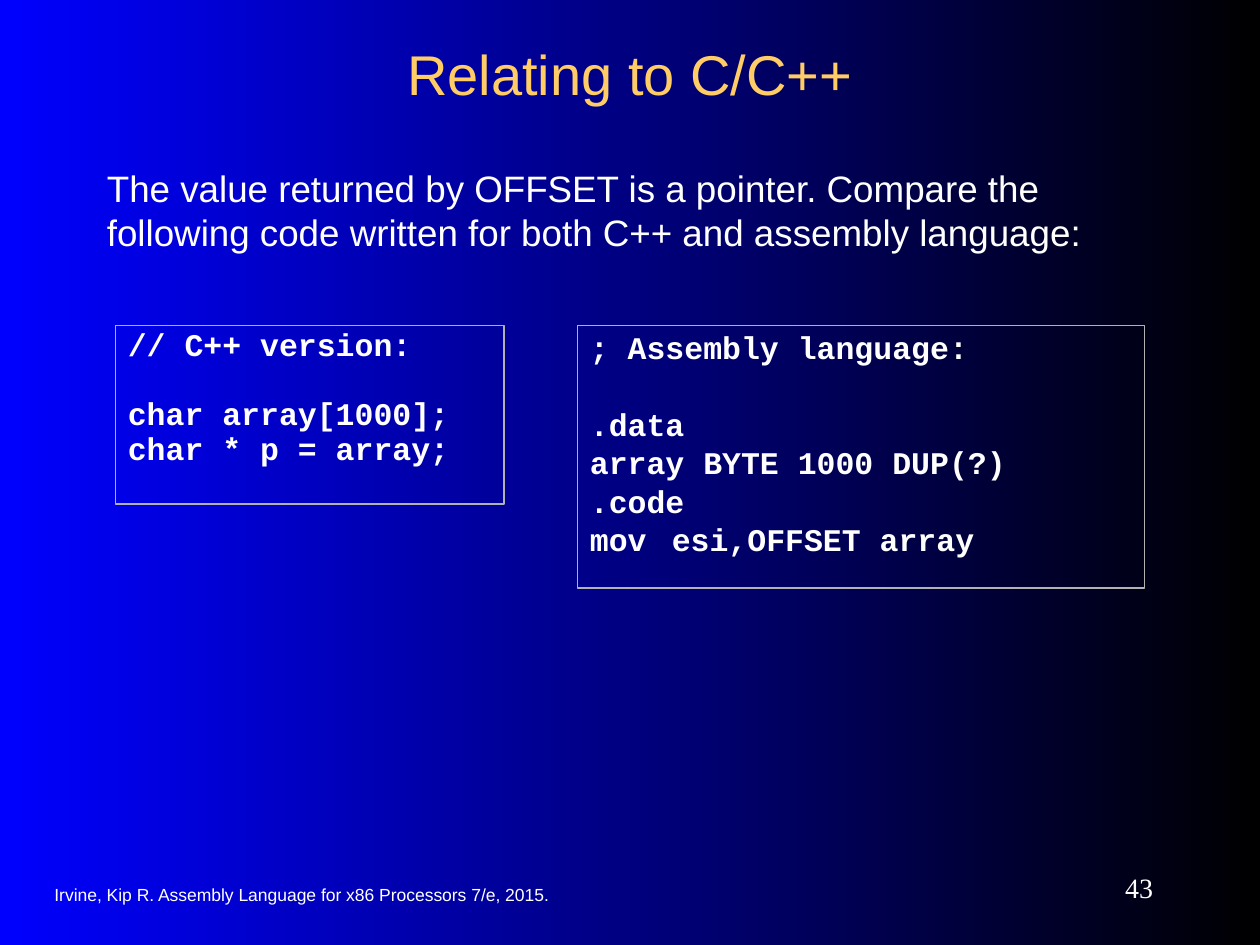
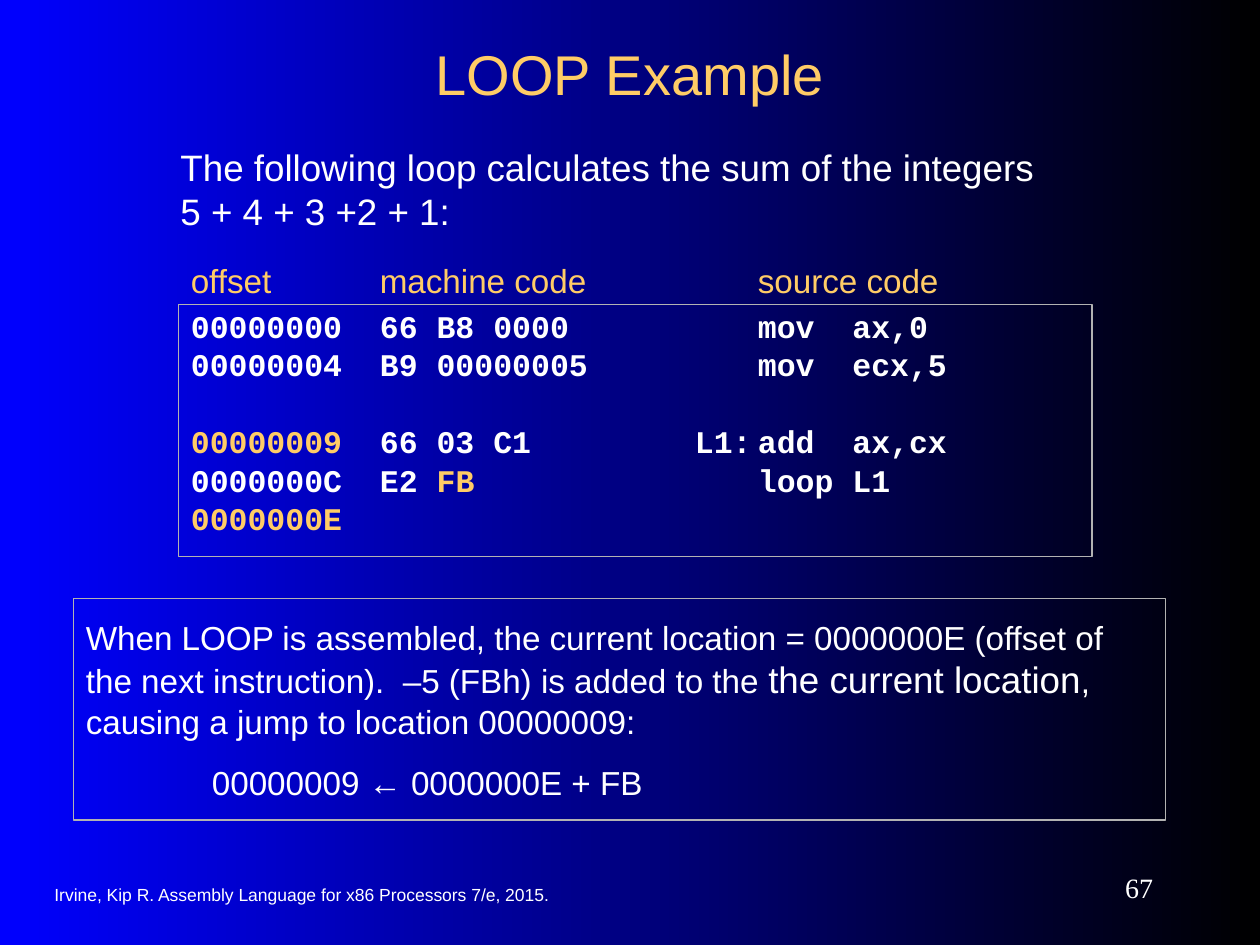
from lxml.etree import SubElement
from pptx import Presentation
from pptx.dml.color import RGBColor
from pptx.enum.shapes import MSO_SHAPE
from pptx.enum.text import MSO_ANCHOR as Anchor, PP_ALIGN as Align
from pptx.oxml.ns import qn
from pptx.util import Pt

PX = 7620
COLORS = {
    "left": "0000FF", "right": "000000", "text": "FFFFFF",
    "accent": "FFCC66", "border": "B2B2B2",
}
PLAIN_TABS = range(120, 841, 120)
CODE_TABS = (60, 480, 540, 600, 720, 840, 960)
HEADER_TABS = (180, 540, 600, 720, 840, 960, 1080)


def color(name):
    return RGBColor.from_string(COLORS[name])


def write(slide, box, lines, size, font="Arial", ink="text", align=Align.LEFT,
          anchor=Anchor.TOP, pad=(18, 18), tabs=PLAIN_TABS, before=0,
          spacing=None, gaps={}, bold=False, framed=False):
    place = [n * PX for n in box]
    if framed:
        area = slide.shapes.add_shape(MSO_SHAPE.RECTANGLE, *place)
        area.shadow.inherit = False
        area.fill.background()
        area.line.color.rgb = color("border")
        area.line.width = Pt(0.75)
    else:
        area = slide.shapes.add_textbox(*place)
    frame = area.text_frame
    frame.word_wrap = True
    frame.vertical_anchor = anchor
    frame.margin_left = frame.margin_right = 12 * PX
    frame.margin_top, frame.margin_bottom = [n * PX for n in pad]
    for index, line in enumerate(lines):
        paragraph = frame.add_paragraph() if index else frame.paragraphs[0]
        paragraph.alignment = align
        paragraph.space_before = Pt(gaps.get(index, before))
        if spacing:
            paragraph.line_spacing = spacing
        stops = SubElement(paragraph._p.get_or_add_pPr(), qn("a:tabLst"))
        for tab in tabs:
            SubElement(stops, qn("a:tab"), pos=str(tab * PX), algn="l")
        paragraph.font.name = font
        paragraph.font.size = Pt(size)
        paragraph.font.bold = bold
        paragraph.font.color.rgb = color(ink)
        for part in [line] if isinstance(line, str) else line:
            run = paragraph.add_run()
            if isinstance(part, str):
                run.text = part
                continue
            run.text, change = part
            if "ink" in change:
                run.font.color.rgb = color(change["ink"])
            if "size" in change:
                run.font.size = Pt(change["size"])


deck = Presentation()
deck.slide_width, deck.slide_height = 1200 * PX, 900 * PX

small = dict(anchor=Anchor.MIDDLE, pad=(6, 6))
code = dict(size=18, font="Courier New", bold=True, tabs=CODE_TABS,
            before=11.2, framed=True)
intro = dict(size=21, before=13.1)
accent = {"ink": "accent"}

pages = []
for title, number in (("Relating to C/C++", "43"), ("LOOP Example", "67")):
    page = deck.slides.add_slide(deck.slide_layouts[6])
    backdrop = page.background.fill
    backdrop.gradient()
    backdrop.gradient_angle = 0
    for stop, name in zip(backdrop.gradient_stops, ("left", "right")):
        stop.color.rgb = color(name)
    write(page, (40, 832, 630, 40),
          ["Irvine, Kip R. Assembly Language for x86 Processors 7/e, 2015."],
          10, **small)
    write(page, (980, 820, 130, 50), [number], 16, font="Times New Roman",
          align=Align.RIGHT, **small)
    write(page, (90, 30, 1020, 80), [title], 32, ink="accent",
          align=Align.CENTER, **small)
    pages.append(page)

pointers, loop = pages

write(pointers, (110, 310, 370, 170),
      ["// C++ version:", "char array[1000];", "char * p = array;"],
      spacing=0.4, gaps={1: 31}, pad=(18, 30), **code)
write(pointers, (90, 140, 1010, 120),
      ["The value returned by OFFSET is a pointer. Compare the following "
       "code written for both C++ and assembly language:"], **intro)
write(pointers, (550, 310, 540, 250),
      ["; Assembly language:", ".data", "array BYTE 1000 DUP(?)", ".code",
       "mov\t esi,OFFSET array"],
      spacing=0.5, gaps={1: 33}, pad=(18, 30), **code)

write(loop, (170, 290, 870, 240),
      ["00000000  66 B8 0000\t\tmov  ax,0",
       "00000004  B9 00000005\t\tmov  ecx,5",
       [("00000009", accent), "  66 03 C1\tL1:\tadd  ax,cx"],
       ["0000000C  E2 ", ("FB\t\t", accent), "loop L1"],
       [("0000000E", accent)]],
      spacing=0.5, gaps={2: 33}, **code)
write(loop, (160, 120, 860, 120),
      ["The following loop calculates the sum of the integers "
       "5 + 4 + 3 +2 + 1:"], **intro)
write(loop, (70, 570, 1040, 211),
      [["When LOOP is assembled, the current location = 0000000E (offset of "
        "the next instruction).  –5 (FBh) is added to the ",
        ("the current location", {"size": 21}),
        ", causing a jump to location 00000009:"],
       "\t00000009 ← 0000000E + FB"],
      19, before=11.9, framed=True)
write(loop, (170, 230, 850, 74), ["offset\tmachine code\tsource code"], 19,
      ink="accent", tabs=HEADER_TABS, before=11.9)

deck.save("out.pptx")
